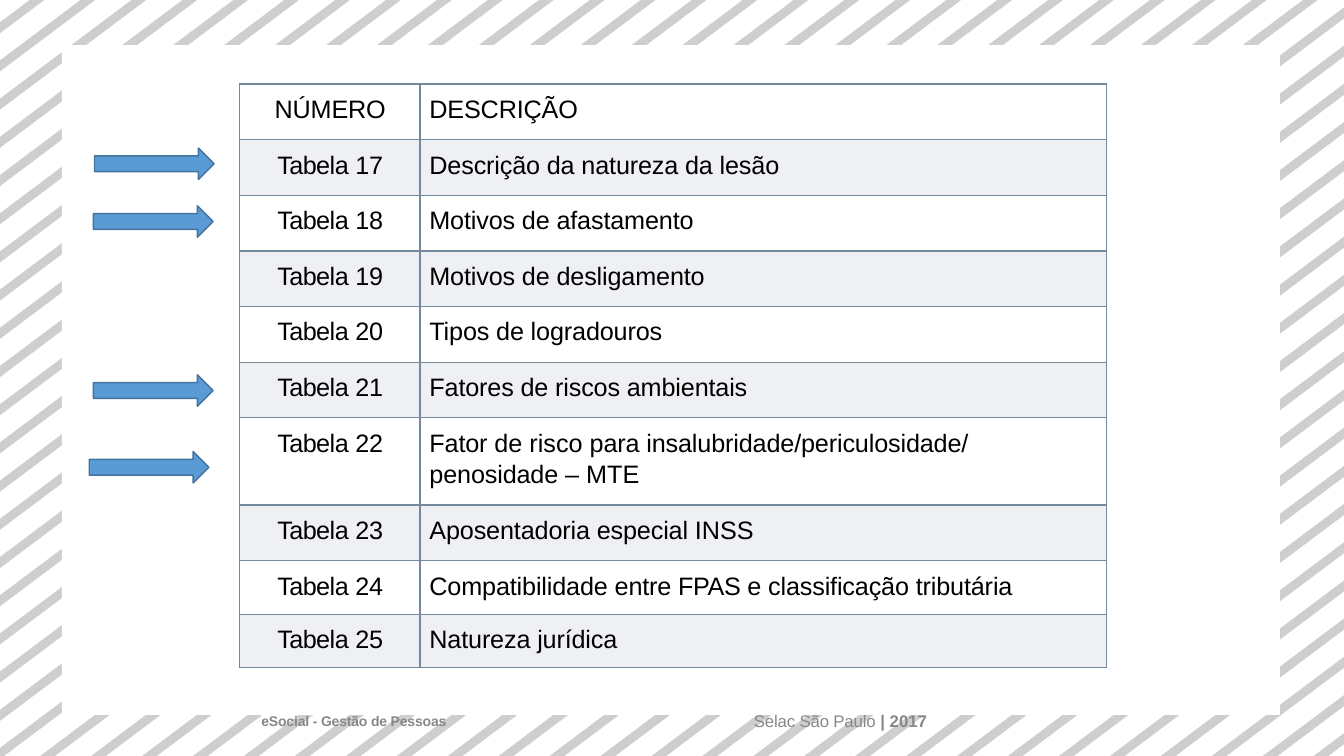
from lxml import etree
from pptx import Presentation
from pptx.dml.color import RGBColor
from pptx.enum.shapes import MSO_SHAPE
from pptx.enum.text import MSO_ANCHOR, MSO_AUTO_SIZE, PP_ALIGN
from pptx.oxml.ns import qn
from pptx.util import Pt

PX = 9525  # EMU per px, 96 px to the inch
WIDTH, HEIGHT = 1280, 720
FONT = "Arial"
LEFT, CENTER = PP_ALIGN.LEFT, PP_ALIGN.CENTER
MIDDLE = MSO_ANCHOR.MIDDLE
GROW = MSO_AUTO_SIZE.SHAPE_TO_FIT_TEXT
RIGHT_ARROW, RECTANGLE = MSO_SHAPE.RIGHT_ARROW, MSO_SHAPE.RECTANGLE
BLANK_LAYOUT = 6

STRIPE, BORDER, BAND, FOOTER = "CECECE", "748A9C", "ABB8C3", "888888"
TIGHT, TIGHTER, TIGHTEST = -10, -30, -40  # letter spacing, 1/100 pt

TABLE_LEFT, TABLE_TOP = 228, 80
COLUMNS = (172, 654)
ROWS = (53,) * 6 + (83, 53, 51, 51)
FIRST_NUMBER = 17
# Each description is a list of paragraphs, each a list of (text, spacing)
DESCRIPTIONS = [
    [[("Descrição da natureza da lesão", TIGHT)]],
    [[("Motivos de afastamento", TIGHT)]],
    [[("Motivos de desligamento", TIGHT)]],
    [[("Tipos de logradouros", TIGHT)]],
    [[("Fatores de riscos ambientais", TIGHT)]],
    [[("Fator ", TIGHT), ("de risco ", 0),
      ("para insalubridade/periculosidade/", TIGHT)],
     [("penosidade ", TIGHT), ("– MTE", 0)]],
    [[("Aposentadoria especial ", TIGHT), ("INSS", 0)]],
    [[("Compatibilidade entre ", TIGHT), ("FPAS ", TIGHTER),
      ("e classificação tributária", TIGHT)]],
    [[("Natureza jurídica", TIGHT)]],
]
ARROWS = ((90, 141), (89, 196), (89, 357), (85, 430))


def px(length):
    return round(length * PX)


def rgb(color):
    return RGBColor.from_string(color)


def write_text(frame, paragraphs, size=18, color="000000", align=LEFT,
               indent=1, gap=2.4, line=None):
    """Spans are (text, spacing) or (text, spacing, bold)."""
    frame.word_wrap = True
    for index, spans in enumerate(paragraphs):
        para = frame.add_paragraph() if index else frame.paragraphs[0]
        para.alignment = align
        para._p.get_or_add_pPr().set("marL", str(px(indent)))
        if index:
            para.space_before = Pt(gap)
        if line:
            para.line_spacing = Pt(line)
        for text, spacing, *bold in spans:
            span = para.add_run()
            span.text = text
            span.font.name = FONT
            span.font.size = Pt(size)
            span.font.bold = any(bold)
            span.font.color.rgb = rgb(color)
            span._r.get_or_add_rPr().set("spc", str(spacing))


def add_box(page, left, top, width, height, paragraphs, **text_format):
    box = page.shapes.add_textbox(px(left), px(top), px(width), px(height))
    frame = box.text_frame
    frame.margin_left = frame.margin_right = 0
    frame.margin_top = frame.margin_bottom = 0
    frame.vertical_anchor = MIDDLE
    write_text(frame, paragraphs, **text_format)
    frame.auto_size = GROW


def paint(shape, fill, line=None):
    shape.shadow.inherit = False
    shape.fill.solid()
    shape.fill.fore_color.rgb = rgb(fill)
    if line:
        shape.line.color.rgb = rgb(line)
        shape.line.width = Pt(1)
    else:
        shape.line.fill.background()


def add_preset(page, kind, left, top, width, height, fill, line=None):
    shape = page.shapes.add_shape(kind, px(left), px(top), px(width), px(height))
    paint(shape, fill, line)


def edge_ends(start):
    """Ends of the slanted edge that meets the top line at x = start."""
    run = HEIGHT * 4 / 3
    upper = (start, 0) if start <= WIDTH else (WIDTH, (start - WIDTH) * 3 / 4)
    lower = (0, start * 3 / 4) if start <= run else (start - run, HEIGHT)
    return upper, lower


def add_stripes(page):
    first, step, thickness, count = 42.2, 48.51, 14, 46
    for index in range(count):
        right = first + step * index
        right_top, right_bottom = edge_ends(right)
        left_top, left_bottom = edge_ends(right - thickness)
        points = [right_top, left_top, left_bottom]
        if left_bottom[0] == 0 and right_bottom[0] > 0:
            points.append((0, HEIGHT))
        points.append(right_bottom)
        points = [(px(x), px(y)) for x, y in points]
        builder = page.shapes.build_freeform(*points[0])
        builder.add_line_segments(points[1:], close=True)
        paint(builder.convert_to_shape(), STRIPE)


def add_color(parent, color, alpha=None):
    fill = etree.SubElement(parent, qn("a:solidFill"))
    tone = etree.SubElement(fill, qn("a:srgbClr"), val=color)
    if alpha:
        etree.SubElement(tone, qn("a:alpha"), val=str(alpha * 1000))


def format_cell(cell, banded):
    cell.margin_left = cell.margin_right = cell.margin_bottom = 0
    cell.margin_top = px(11)
    properties = cell._tc.get_or_add_tcPr()
    for side in ("a:lnL", "a:lnR", "a:lnT", "a:lnB"):
        add_color(etree.SubElement(properties, qn(side), w=str(Pt(1))), BORDER)
    if banded:
        add_color(properties, BAND, alpha=20)
    else:
        cell.fill.background()


def add_number_table(page):
    table = page.shapes.add_table(
        len(ROWS), len(COLUMNS), px(TABLE_LEFT), px(TABLE_TOP),
        px(sum(COLUMNS)), px(sum(ROWS))).table
    table.first_row = table.horz_banding = False
    for column, width in zip(table.columns, COLUMNS):
        column.width = px(width)
    for row, height in zip(table.rows, ROWS):
        row.height = px(height)

    contents = [([[("NÚMERO", TIGHT)]], [[("DESCRIÇÃO", TIGHT)]])]
    for number, description in enumerate(DESCRIPTIONS, FIRST_NUMBER):
        label = [[("Tabela ", TIGHTEST), (str(number), TIGHT)]]
        contents.append((label, description))
    for index, (label, description) in enumerate(contents):
        number_cell, text_cell = table.cell(index, 0), table.cell(index, 1)
        for cell in (number_cell, text_cell):
            format_cell(cell, banded=index % 2 == 1)
        write_text(number_cell.text_frame, label, align=CENTER)
        write_text(text_cell.text_frame, description, indent=9)


def main():
    deck = Presentation()
    deck.slide_width, deck.slide_height = px(WIDTH), px(HEIGHT)
    page = deck.slides.add_slide(deck.slide_layouts[BLANK_LAYOUT])

    # Striped frame around a white panel
    add_stripes(page)
    add_preset(page, RECTANGLE, 59, 43, 1160, 638, "FFFFFF")

    # Table of numbers and descriptions
    add_number_table(page)

    # Footer
    add_box(page, 584, 677, 432, 19,
            [[("Selac São Paulo ", TIGHT), ("| 2017", 0, True)]],
            size=12, color=FOOTER, align=CENTER, line=14.2)
    add_box(page, 248, 679, 288, 16,
            [[("eSocial - Gestão de Pessoas", TIGHT, True)]],
            size=10, color=FOOTER)

    # Arrows that point at the key rows
    for left, top in ARROWS:
        add_preset(page, RIGHT_ARROW, left, top, 114, 30, "5B9BD5", "43739E")

    deck.save("out.pptx")


if __name__ == "__main__":
    main()
